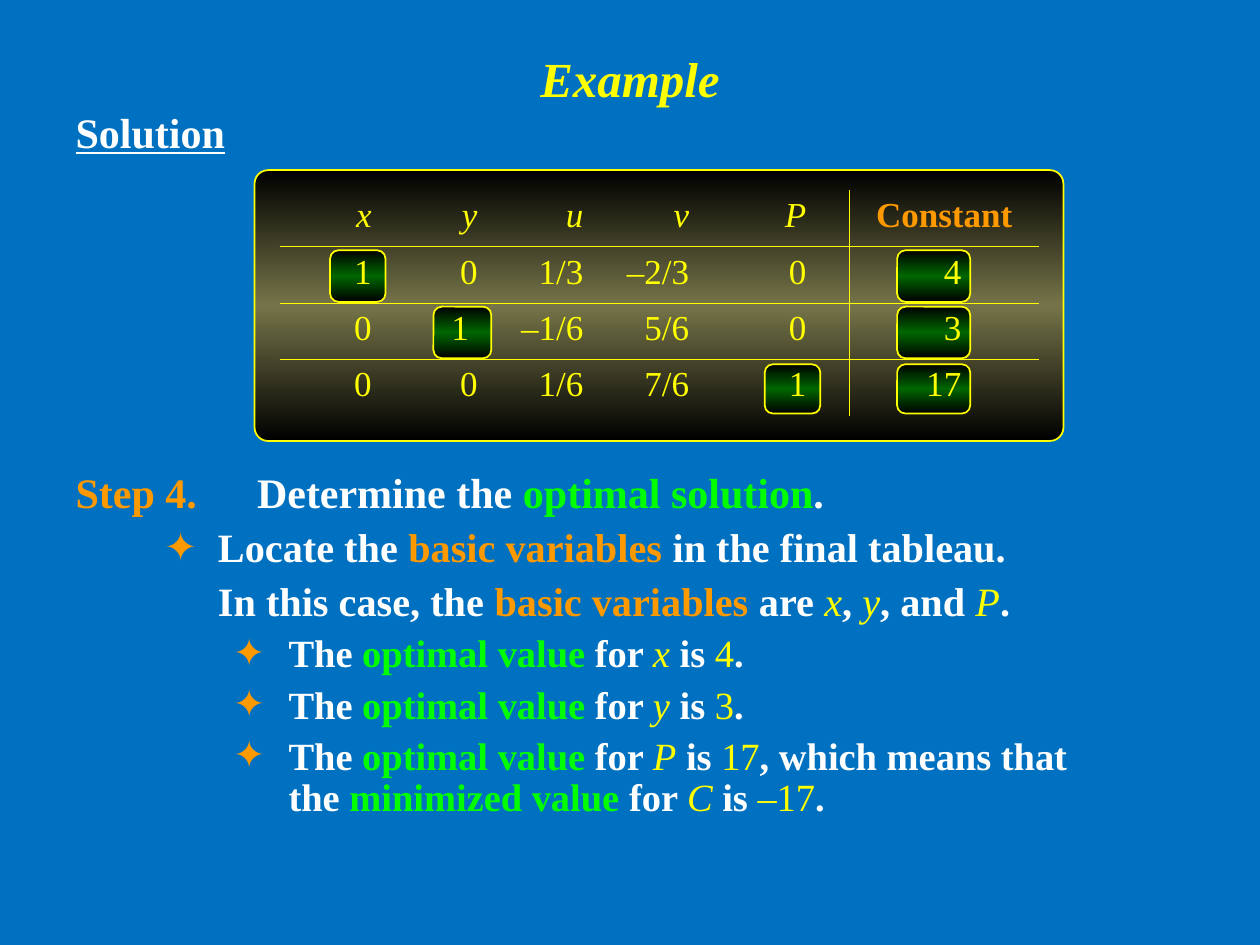
from copy import deepcopy
from dataclasses import dataclass
from itertools import accumulate
from typing import NamedTuple

from lxml.etree import SubElement
from pptx import Presentation
from pptx.dml.color import RGBColor
from pptx.enum.shapes import MSO_SHAPE
from pptx.enum.text import MSO_ANCHOR, MSO_AUTO_SIZE, PP_ALIGN
from pptx.oxml.ns import qn
from pptx.util import Inches, Pt


@dataclass(frozen=True)
class Theme:
    font: str = "Times New Roman"
    page: str = "0070C0"
    text: str = "FFFFFF"
    value: str = "FFFF00"
    accent: str = "FF9900"
    goal: str = "00FF00"
    edge: str = "000000"
    panel: str = "757448"
    pill: str = "006600"
    title_size: float = 28
    heading_size: float = 24
    list_size: float = 23
    detail_size: float = 22
    table_size: float = 20
    rule_width: float = 0.45


THEME = Theme()
COLUMNS, ROWS = 100, 75  # slide grid, ten units to the inch


def units(count: float) -> int:
    return Inches(count / 10)


class Area(NamedTuple):
    """Left, top, width and height in grid units."""
    left: float
    top: float
    width: float
    height: float

    def lengths(self) -> list[int]:
        return [units(side) for side in self]


class Span(NamedTuple):
    text: str
    color: str = THEME.text
    bold: bool = True
    italic: bool = False


class Level(NamedTuple):
    size: float
    before: float
    left: float
    hanging: float
    bullet: str = ""


class Line(NamedTuple):
    level: Level
    spans: list[Span]
    underline: bool = False


class Pill(NamedTuple):
    row: int
    column: int
    width: float
    height: float = 4.1
    inset: float = -0.1


def key(text: str) -> Span:
    return Span(text, THEME.accent)


def goal(text: str) -> Span:
    return Span(text, THEME.goal)


def symbol(text: str) -> Span:
    return Span(text, THEME.value, False, True)


def number(text: str) -> Span:
    return Span(text, THEME.value, False)


def optimum(variable: str, value: str, *rest: Span) -> list[Span]:
    return [Span("The "), goal("optimal value"), Span(" for "), symbol(variable),
            Span(" is "), number(value), *rest, Span(".")]


TITLE = Area(5, 0, 90, 12.3)
BODY = Area(5, 8.4, 90.8, 66.6)
PANEL = Area(20.2, 13.5, 64.2, 21.5)
TABLEAU = Area(22.2, 15.1, 60.3, 17.9)
TABLEAU_COLUMNS = [8.3, 8.4, 8.4, 8.4, 9.3, 2.4, 15.1]
COLUMN_ENDS = list(accumulate(TABLEAU_COLUMNS, initial=TABLEAU.left))[1:]
TABLEAU_ROWS = [
    ["x", "y", "u", "v", "P", "", "Constant"],
    ["1", "0", "1/3", "–2/3", "0", "", "4"],
    ["0", "1", "–1/6", "5/6", "0", "", "3"],
    ["0", "0", "1/6", "7/6", "1", "", "17"],
]
ROW_HEIGHT = TABLEAU.height / len(TABLEAU_ROWS)
RULED_ROWS = (0, 2)
DIVIDER, CONSTANT = 5, 6
CONSTANT_INSET = 6.2
UNIT_PIVOT = (2, 1)  # this entry sits a little further left
PILLS = [
    Pill(1, 0, 4.4), Pill(2, 1, 4.6), Pill(3, 4, 4.4, 3.9),
    *(Pill(row, CONSTANT, 5.8, height, 5.5)
      for row, height in ((1, 4.1), (2, 4.1), (3, 3.9))),
]

HEADING = Level(THEME.heading_size, 0, 4.4, -4.4)
STEP = HEADING._replace(before=180)  # leaves room for the tableau
BULLET = Level(THEME.list_size, 5.8, 11.3, -4.3, "✦")
FOLLOW_UP = BULLET._replace(hanging=0, bullet="")
DETAIL = Level(THEME.detail_size, 5.5, 16.9, -4.4, "✦")
LINES = [
    Line(HEADING, [Span("Solution")], underline=True),
    Line(STEP, [key("Step 4.\t"), Span("Determine the "),
                goal("optimal solution"), Span(".")]),
    Line(BULLET, [Span("Locate the "), key("basic variables"),
                  Span(" in the final tableau.")]),
    Line(FOLLOW_UP, [Span("In this case, the "), key("basic variables"),
                     Span(" are "), symbol("x"), Span(", "), symbol("y"),
                     Span(", and "), symbol("P"), Span(".")]),
    Line(DETAIL, optimum("x", "4")),
    Line(DETAIL, optimum("y", "3")),
    Line(DETAIL, optimum("P", "17", Span(", which means that\vthe "),
                         goal("minimized value"), Span(" for "), symbol("C"),
                         Span(" is "), number("–17"))),
]
TAB_STOPS = [0, 11.3, *range(20, 80, 10)]


def rgb(color: str) -> RGBColor:
    return RGBColor.from_string(color)


def style_font(font, size: float, color: str, bold=False, italic=False) -> None:
    font.name, font.size = THEME.font, Pt(size)
    font.bold, font.italic = bold, italic
    font.color.rgb = rgb(color)


def write_line(para, line: Line) -> None:
    level = line.level
    properties = para._p.get_or_add_pPr()
    properties.set("marL", str(units(level.left)))
    properties.set("indent", str(units(level.hanging)))
    para.line_spacing, para.space_before = 0.9, Pt(level.before)
    if level.bullet:
        color = SubElement(properties, qn("a:buClr"))
        SubElement(color, qn("a:srgbClr"), val=THEME.accent)
        SubElement(properties, qn("a:buChar"), char=level.bullet)
    else:
        SubElement(properties, qn("a:buNone"))
    tabs = SubElement(properties, qn("a:tabLst"))
    for stop in TAB_STOPS:
        SubElement(tabs, qn("a:tab"), pos=str(units(stop)), algn="l")
    para.font.name, para.font.size = THEME.font, Pt(level.size)
    para.font.underline = line.underline
    for text, color, bold, italic in line.spans:
        for index, part in enumerate(text.split("\v")):
            if index:
                para.add_line_break()
            span = para.add_run()
            span.text = part
            span.font.bold, span.font.italic = bold, italic
            span.font.color.rgb = rgb(color)


def draw_card(page, area: Area, middle: str, rounding: float) -> None:
    """Rounded box shaded from the edge colour to the middle one and back."""
    card = page.shapes.add_shape(MSO_SHAPE.ROUNDED_RECTANGLE, *area.lengths())
    card.adjustments[0] = rounding
    card.shadow.inherit = False
    card.line.color.rgb, card.line.width = rgb(THEME.value), Pt(1)
    card.fill.gradient()
    card.fill.gradient_angle = 90
    stops = card._element.spPr.find(".//" + qn("a:gsLst"))
    stops.insert(1, deepcopy(stops[0]))
    shades = zip(card.fill.gradient_stops, (0, 0.5, 1), (THEME.edge, middle, THEME.edge))
    for stop, position, color in shades:
        stop.position, stop.color.rgb = position, rgb(color)


def draw_pill(page, pill: Pill) -> None:
    right = COLUMN_ENDS[pill.column] - pill.inset
    middle = TABLEAU.top + (pill.row + 0.5) * ROW_HEIGHT + 0.1
    area = Area(right - pill.width, middle - pill.height / 2, pill.width, pill.height)
    draw_card(page, area, THEME.pill, 0.165)


def rule_cell(cell, side: str) -> None:
    edge = SubElement(cell._tc.get_or_add_tcPr(), qn(f"a:{side}"),
                      w=str(Pt(THEME.rule_width)))
    fill = SubElement(edge, qn("a:solidFill"))
    SubElement(fill, qn("a:srgbClr"), val=THEME.value)


def fill_cell(cell, text: str, row: int, column: int) -> None:
    sides = {"lnL": column == CONSTANT, "lnR": column == DIVIDER,
             "lnT": row - 1 in RULED_ROWS, "lnB": row in RULED_ROWS}
    for side, ruled in sides.items():
        if ruled:
            rule_cell(cell, side)
    cell.fill.background()
    para = cell.text_frame.paragraphs[0]
    para.text = text
    para.alignment = PP_ALIGN.RIGHT
    header = row == 0
    if header and column == CONSTANT:
        para.alignment = PP_ALIGN.CENTER
        style_font(para.font, THEME.table_size, THEME.accent, bold=True)
        return
    style_font(para.font, THEME.table_size, THEME.value, italic=header)
    if column == CONSTANT:
        cell.margin_right = units(CONSTANT_INSET)
    elif (row, column) == UNIT_PIVOT:
        cell.margin_right = units(1.7)


def draw_tableau(page) -> None:
    frame = page.shapes.add_table(len(TABLEAU_ROWS), len(TABLEAU_COLUMNS),
                                  *TABLEAU.lengths())
    table = frame.table
    table.first_row = table.horz_banding = False
    no_grid_style = "{2D5ABB26-0587-4C30-8999-92F81FD0307C}"
    table._tbl.tblPr.find(qn("a:tableStyleId")).text = no_grid_style
    for column, width in zip(table.columns, TABLEAU_COLUMNS):
        column.width = units(width)
    for row, texts in enumerate(TABLEAU_ROWS):
        table.rows[row].height = units(ROW_HEIGHT)
        for column, text in enumerate(texts):
            fill_cell(table.cell(row, column), text, row, column)


def place(holder, area: Area) -> None:
    holder.left, holder.top, holder.width, holder.height = area.lengths()
    holder.text_frame.auto_size = MSO_AUTO_SIZE.NONE


def main() -> None:
    deck = Presentation()
    deck.slide_width, deck.slide_height = units(COLUMNS), units(ROWS)
    page = deck.slides.add_slide(deck.slide_layouts[1])
    page.background.fill.solid()
    page.background.fill.fore_color.rgb = rgb(THEME.page)

    title, body = page.placeholders
    place(title, TITLE)
    title.text_frame.vertical_anchor = MSO_ANCHOR.MIDDLE
    heading = title.text_frame.paragraphs[0]
    heading.text, heading.alignment = "Example", PP_ALIGN.CENTER
    style_font(heading.font, THEME.title_size, THEME.value, bold=True, italic=True)

    place(body, BODY)
    for index, line in enumerate(LINES):
        frame = body.text_frame
        write_line(frame.add_paragraph() if index else frame.paragraphs[0], line)

    draw_card(page, PANEL, THEME.panel, 0.05)
    for pill in PILLS:
        draw_pill(page, pill)
    draw_tableau(page)
    deck.save("out.pptx")


if __name__ == "__main__":
    main()
